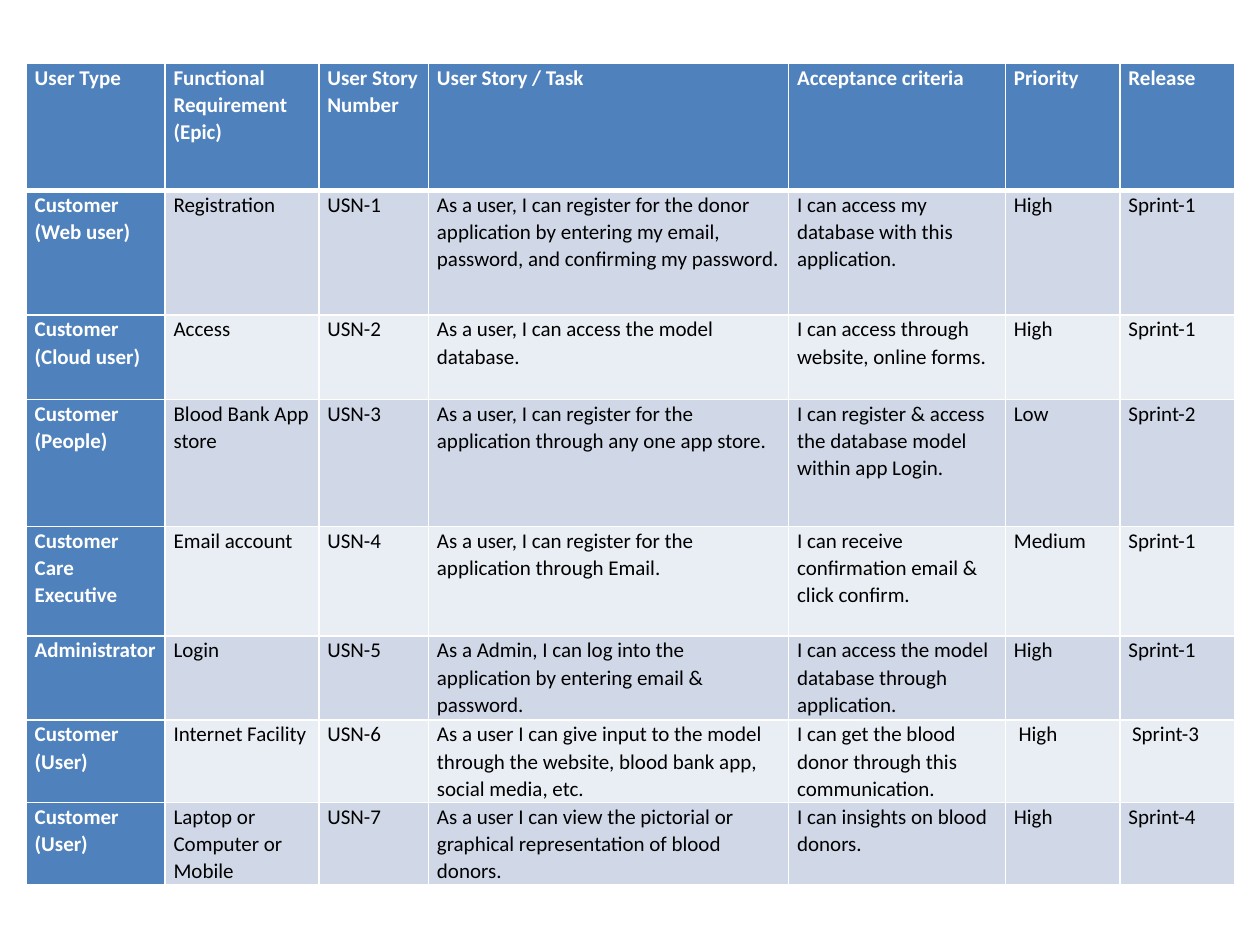
from lxml.etree import SubElement
from pptx import Presentation
from pptx.dml.color import RGBColor
from pptx.oxml.ns import qn
from pptx.util import Cm, Pt

BLUE, BAND, LIGHT = "4F81BD", "D0D8E8", "E9EDF4"
WHITE, BLACK = "FFFFFF", "000000"

COL_WIDTHS = [2.8, 3.1, 2.21, 7.26, 4.37, 2.31, 2.31]
ROW_HEIGHTS = [2.56, 2.51, 1.7, 2.56, 2.21, 1.7, 1.35, 1.35]

# A line break parts paragraphs, a bar parts runs.
ROWS = [
    ["User Type", "Functional Requirement (Epic)", "User Story Number",
     "User Story / Task", "Acceptance criteria", "Priority", "Release"],
    ["Customer (Web user)", "Registration", "USN-1",
     "As a user, I can register for the donor application by entering my "
     "email, password, and confirming my password.",
     "I can access my database with this application.", "High", "Sprint-1"],
    ["Customer\n(Cloud user)", "Access", "USN-2",
     "As a user, I can access the model database.",
     "I can access through website, online forms.", "High", "Sprint-1"],
    ["Customer\n(People)", "Blood Bank App store", "USN-3",
     "As a user, I can register for the application through any one app store.",
     "I can register & access the database model within app Login.",
     "Low", "Sprint-2"],
    ["Customer Care Executive", "Email account", "USN-4",
     "As a user, I can register for the application through Email.",
     "I can receive confirmation email & click confirm.",
     "Medium", "Sprint-1"],
    ["Administrator", "Login", "USN-5",
     "As a Admin, I can log into the application by entering email & password.",
     "I can access the model database through application.",
     "High", "Sprint-1"],
    ["Customer\n(User)", "Internet Facility", "USN-6",
     "As a user I can give input to the model through the website, blood bank "
     "app, social media, etc.",
     "I can get the blood donor through this communication.",
     " High", " |Sprint-3"],
    ["Customer\n(User)", "Laptop or Computer or Mobile", "USN-7",
     "As a user I can view the pictorial or graphical representation of blood "
     "donors.",
     "I can insights on blood donors.", "High", "Sprint-4"],
]


def rgb(color):
    return RGBColor.from_string(color)


def set_borders(cell, top, bottom):
    """Draw white cell borders; top and bottom are widths in points."""
    tcPr = cell._tc.get_or_add_tcPr()
    widths = {"a:lnL": 1, "a:lnR": 1, "a:lnT": top, "a:lnB": bottom}
    for i, (tag, width) in enumerate(widths.items()):
        ln = SubElement(tcPr, qn(tag), w=str(Pt(width)))
        fill = SubElement(ln, qn("a:solidFill"))
        SubElement(fill, qn("a:srgbClr"), val=WHITE)
        tcPr.insert(i, ln)


prs = Presentation()
prs.slide_width, prs.slide_height = Cm(25.4), Cm(19.05)
s = prs.slides.add_slide(prs.slide_layouts[6])

table = s.shapes.add_table(
    len(ROWS), len(COL_WIDTHS), Cm(0.53), Cm(1.28),
    Cm(sum(COL_WIDTHS)), Cm(sum(ROW_HEIGHTS))).table
table.first_col = True
for column, width in zip(table.columns, COL_WIDTHS):
    column.width = Cm(width)
for row, height in zip(table.rows, ROW_HEIGHTS):
    row.height = Cm(height)

for i, row in enumerate(ROWS):
    for j, text in enumerate(row):
        heading = i == 0 or j == 0
        cell = table.cell(i, j)
        cell.margin_left = cell.margin_right = Cm(0.17)
        cell.margin_top = cell.margin_bottom = 0
        cell.fill.solid()
        cell.fill.fore_color.rgb = rgb(
            BLUE if heading else BAND if i % 2 else LIGHT)
        set_borders(cell, top=3 if i == 1 else 1, bottom=3 if i == 0 else 1)

        tf = cell.text_frame
        for k, line in enumerate(text.split("\n")):
            p = tf.add_paragraph() if k else tf.paragraphs[0]
            p.line_spacing = 1.07
            for part in line.split("|"):
                r = p.add_run()
                r.text = part
                r.font.name = "Calibri"
                r.font.size = Pt(12 if part.strip() else 9)
                r.font.bold = heading
                r.font.color.rgb = rgb(WHITE if heading else BLACK)

prs.save("out.pptx")
